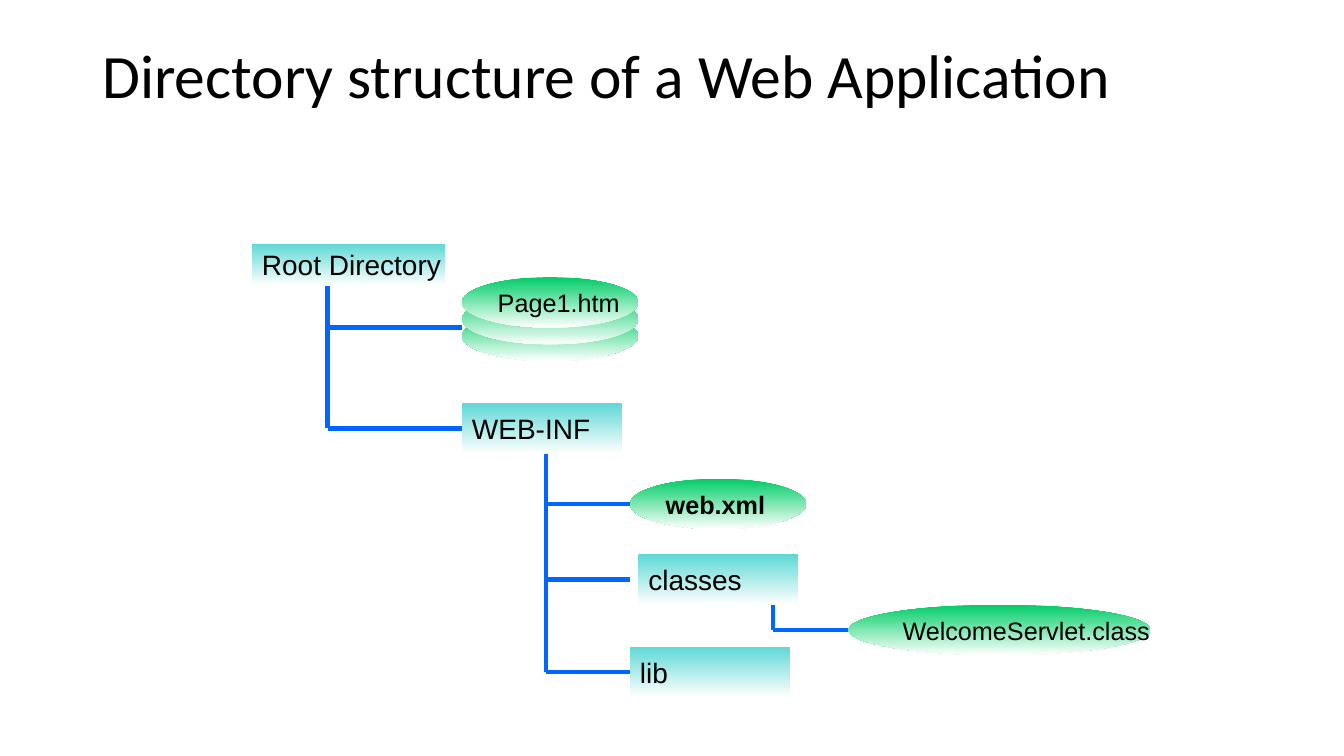
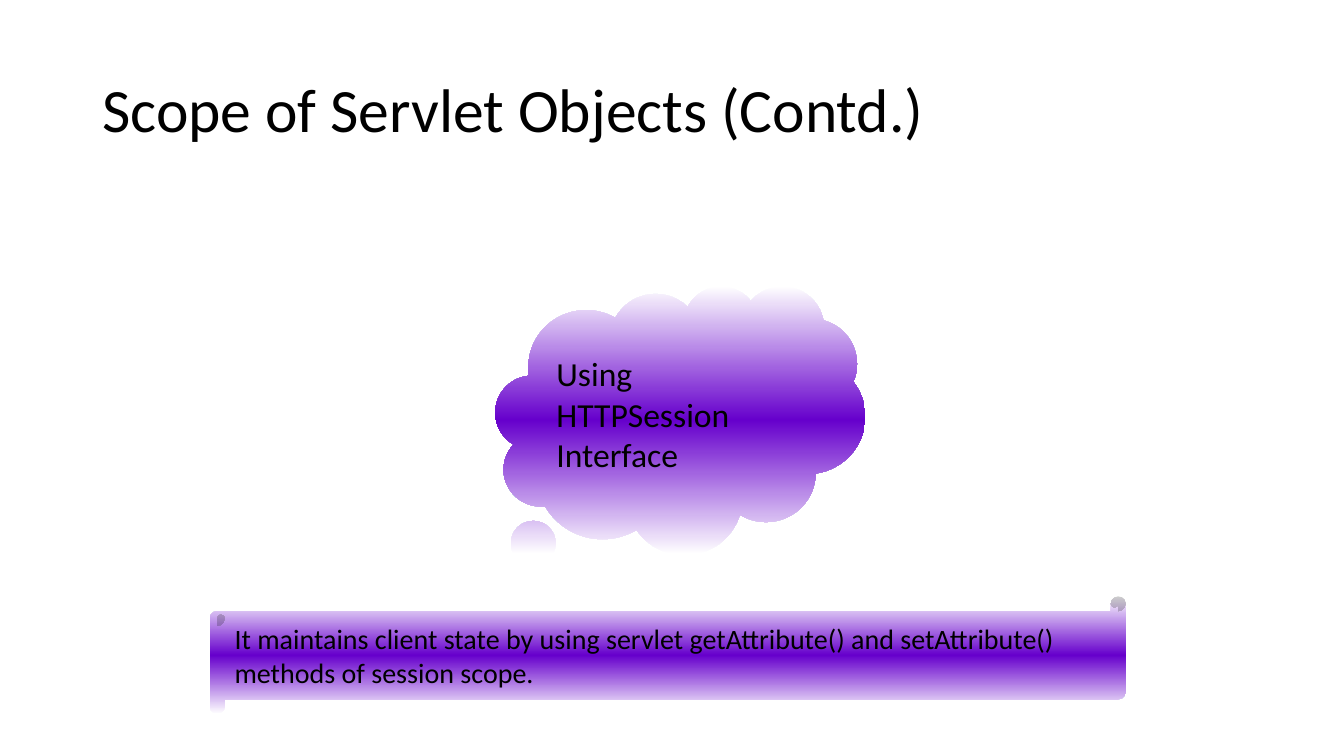
from lxml import etree
from pptx import Presentation
from pptx import util as u
from pptx.dml.color import RGBColor
from pptx.enum import shapes, text
from pptx.oxml.ns import qn

PX = 9525
COLORS = {
    "text": "000000",
    "line": "0066FF",
    "folder": "5ED8D5",
    "file": "00CC66",
    "scope": "6600CC",
    "white": "FFFFFF",
    "title_shadow": "4472C4",
}
FOLDER_FILL = [(0, "folder"), (100, "white")]
FILE_FILL = [(0, "file"), (100, "white")]
SCOPE_FILL = [(0, "white"), (50, "scope"), (100, "white")]
SHAPE = shapes.MSO_SHAPE
ANCHOR = text.MSO_ANCHOR


def write_text(shape, words, font, size, anchor, wrap=True, bold=False):
    frame = shape.text_frame
    frame.word_wrap = wrap
    frame.vertical_anchor = anchor
    paragraph = frame.paragraphs[0]
    paragraph.text = words
    paragraph.alignment = text.PP_ALIGN.LEFT
    paragraph.font.name = font
    paragraph.font.size = u.Pt(size)
    paragraph.font.bold = bold
    paragraph.font.color.rgb = RGBColor.from_string(COLORS["text"])
    return paragraph


def add_gradient_shape(slide, kind, box, stops):
    shape = slide.shapes.add_shape(kind, *[value * PX for value in box])
    shape.shadow.inherit = False
    shape.fill.gradient()
    shape.fill.gradient_angle = 270
    stop_list = shape._element.spPr.find(qn("a:gradFill")).find(qn("a:gsLst"))
    stop_list.clear()
    for percent, color in stops:
        stop = etree.SubElement(stop_list, qn("a:gs"), pos=str(percent * 1000))
        etree.SubElement(stop, qn("a:srgbClr"), val=COLORS[color])
    shape.line.fill.background()
    return shape


presentation = Presentation()
presentation.slide_width = 1280 * PX
presentation.slide_height = 720 * PX
blank = presentation.slide_layouts[6]

titles = [
    ("Directory structure of a Web Application", ANCHOR.TOP),
    ("Scope of Servlet Objects (Contd.)", ANCHOR.MIDDLE),
]
slides = []
for words, anchor in titles:
    slide = presentation.slides.add_slide(blank)
    title = slide.shapes.add_textbox(88 * PX, 38 * PX, 1104 * PX, 139 * PX)
    paragraph = write_text(title, words, "Calibri", 44, anchor)
    paragraph.line_spacing = 0.9
    slides.append(slide)
directory_slide, scope_slide = slides

effects = etree.SubElement(paragraph.runs[0]._r.get_or_add_rPr(), qn("a:effectLst"))
shadow = etree.SubElement(effects, qn("a:outerShdw"), blurRad="38100", dist="38100", dir="2700000")
etree.SubElement(shadow, qn("a:srgbClr"), val=COLORS["title_shadow"])

folder_boxes = [
    ("Root Directory", 240, 232, 184, 40),
    ("WEB-INF", 440, 384, 152, 48),
    ("classes", 608, 528, 152, 48),
    ("lib", 600, 616, 152, 48),
]
folders = {}
for name, *box in folder_boxes:
    folders[name] = add_gradient_shape(directory_slide, SHAPE.RECTANGLE, box, FOLDER_FILL)
    write_text(folders[name], name, "Arial", 20, ANCHOR.MIDDLE, wrap=False)

file_boxes = [
    ("", 440, 296, 168),
    ("", 440, 280, 168),
    ("Page1.htm", 440, 264, 168),
    ("web.xml", 600, 456, 168),
    ("WelcomeServlet.class", 808, 576, 288),
]
for name, left, top, width in file_boxes:
    ellipse = add_gradient_shape(directory_slide, SHAPE.OVAL, (left, top, width, 48), FILE_FILL)
    if name:
        write_text(ellipse, name, "Arial", 18, ANCHOR.MIDDLE, wrap=False, bold=name == "web.xml")

branches = [
    (312, 272, 312, 408, None),
    (520, 432, 520, 640, None),
    (736, 576, 736, 600, None),
    (312, 312, 440, 312, None),
    (312, 408, 440, 408, "WEB-INF"),
    (520, 480, 600, 480, None),
    (520, 552, 600, 552, None),
    (520, 640, 600, 640, "lib"),
    (736, 600, 808, 600, None),
]
for *ends, target in branches:
    connector = directory_slide.shapes.add_connector(
        shapes.MSO_CONNECTOR.STRAIGHT, *[value * PX for value in ends])
    connector.line.color.rgb = RGBColor.from_string(COLORS["line"])
    connector.line.width = u.Pt(3)
    etree.SubElement(connector._element.spPr, qn("a:effectLst"))
    if target:
        connector.end_connect(folders[target], 1)

scope_shapes = [
    (SHAPE.CLOUD_CALLOUT, (472, 272, 352, 256), (-0.57, 0.657), 24,
     "Using HTTPSession Interface"),
    (SHAPE.HORIZONTAL_SCROLL, (200, 568, 872, 112), (0.125,), 20,
     "It maintains client state by using servlet getAttribute() and setAttribute() "
     "methods of session scope."),
]
for kind, box, adjustments, size, words in scope_shapes:
    shape = add_gradient_shape(scope_slide, kind, box, SCOPE_FILL)
    for index, value in enumerate(adjustments):
        shape.adjustments[index] = value
    write_text(shape, words, "Calibri", size, ANCHOR.MIDDLE)

presentation.save("out.pptx")
